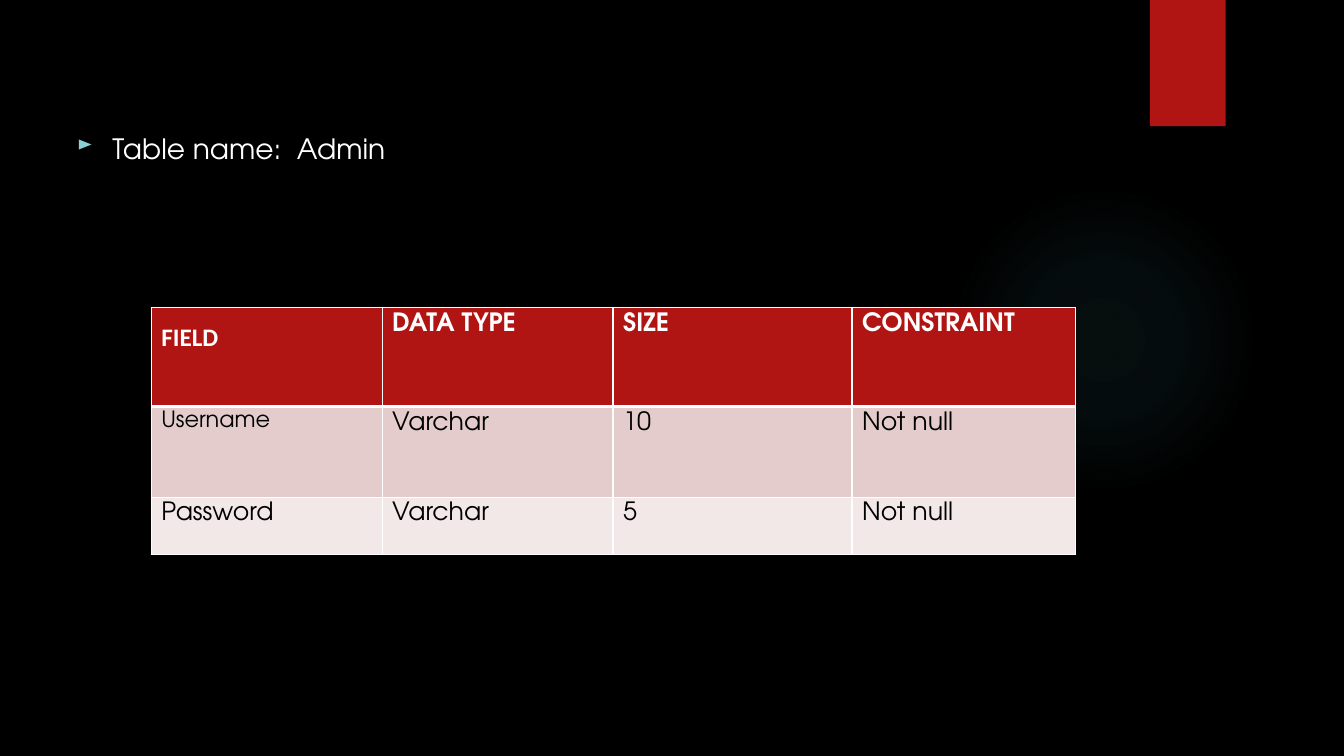
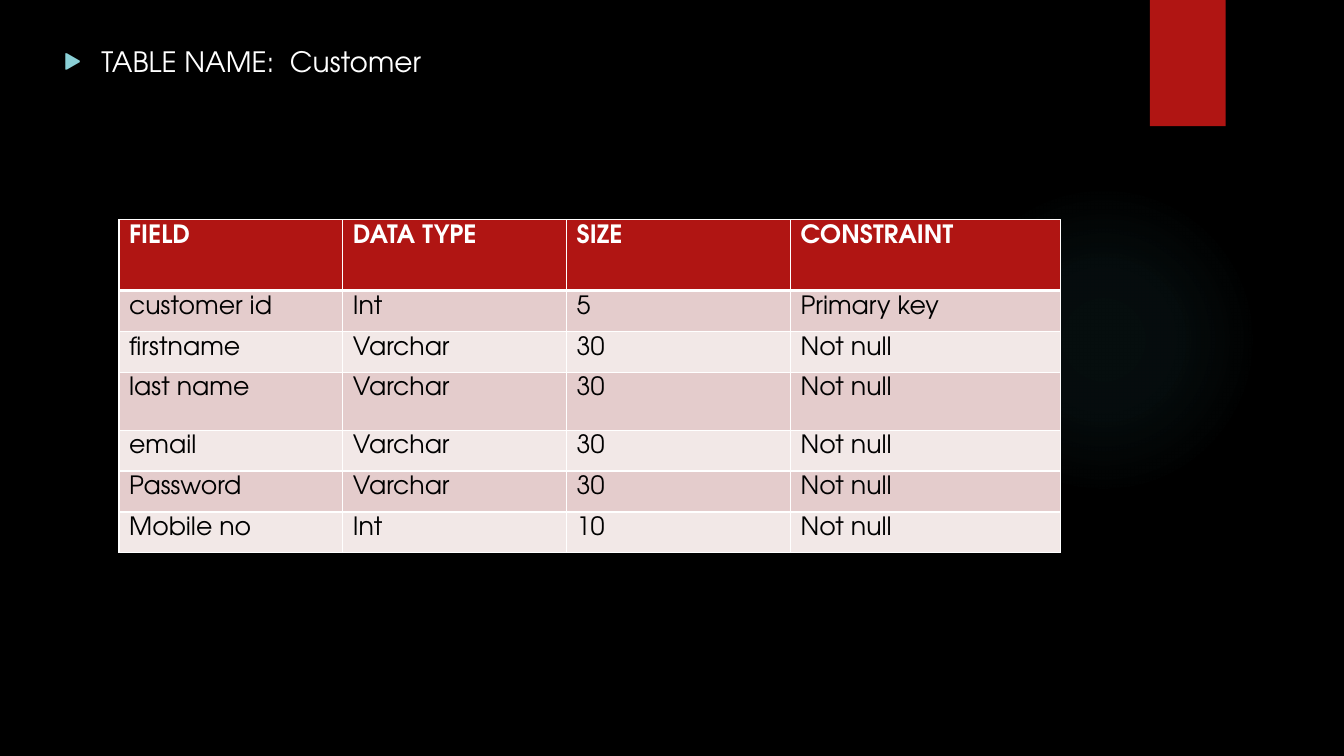
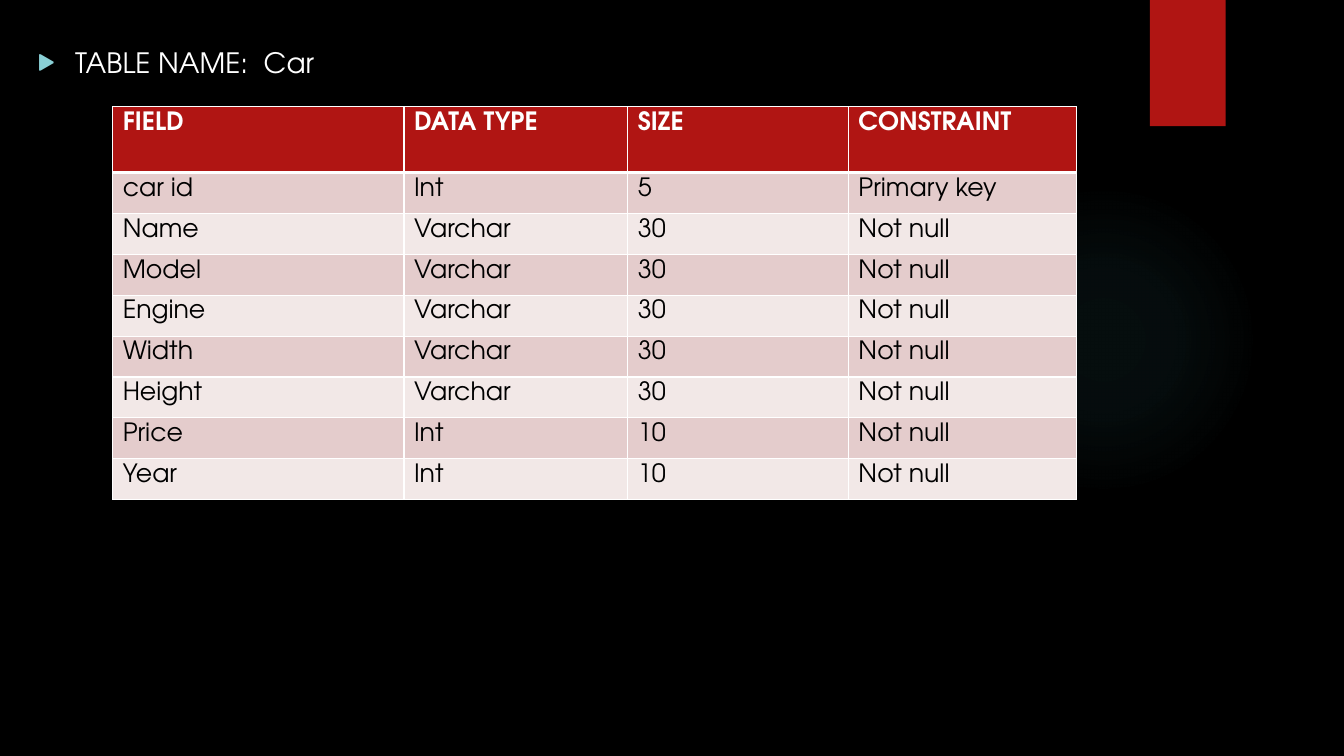
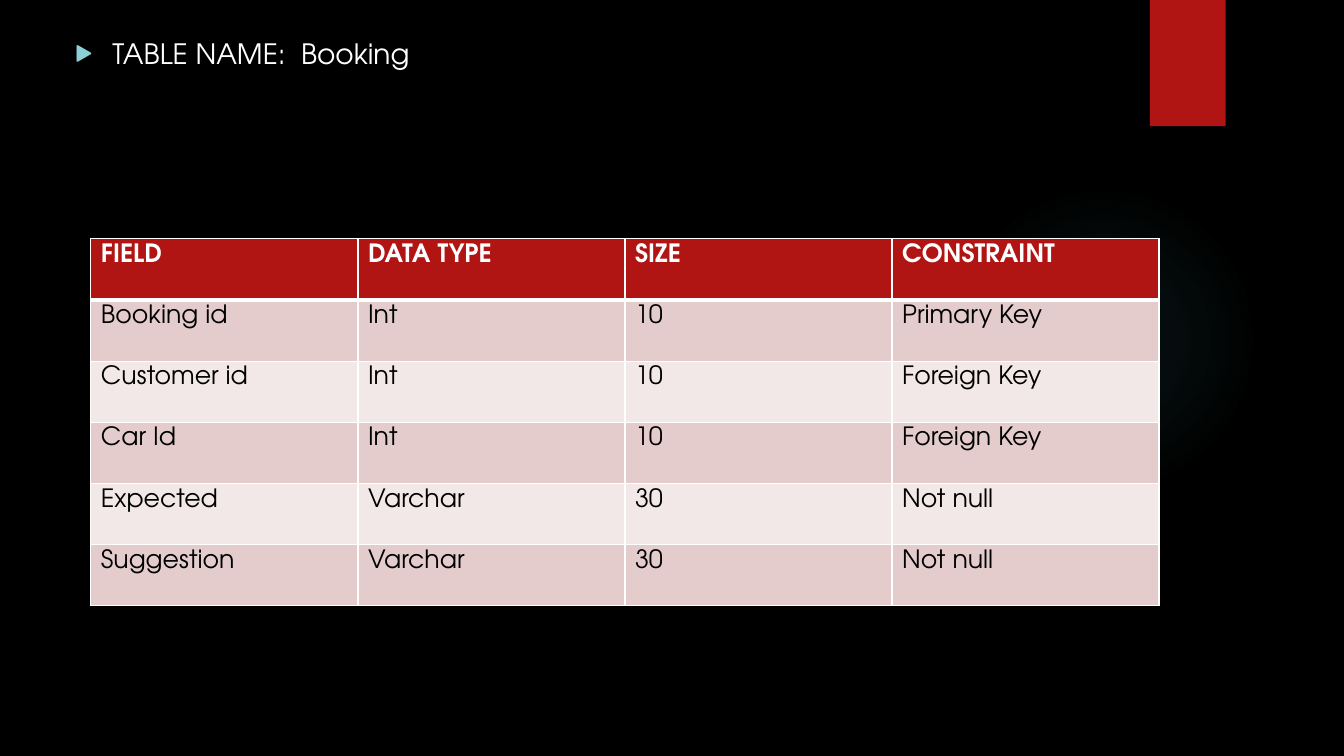
"""Build four slides that describe the tables of a car booking database."""
from dataclasses import dataclass

from pptx import Presentation
from pptx.dml.color import RGBColor
from pptx.enum.shapes import MSO_SHAPE
from pptx.enum.text import MSO_ANCHOR, MSO_AUTO_SIZE
from pptx.oxml import parse_xml
from pptx.oxml.ns import nsdecls
from pptx.util import Cm, Pt


@dataclass(frozen=True)
class Theme:
    """Colours, fonts and type sizes shared by the slides."""
    background: str = "000000"
    accent: str = "B01513"
    glow: str = "50B9C1"
    bullet: str = "8AD0D6"
    light: str = "FFFFFF"
    dark: str = "000000"
    bands: tuple = ("F2E8E7", "E4CCCC")
    font: str = "TeX Gyre Adventor"
    plain_font: str = "Calibri"
    heading_size: int = 20
    cell_size: int = 18
    small_size: int = 16
    thin: int = 1
    thick: int = 3


@dataclass(frozen=True)
class Box:
    """A region in centimetres."""
    left: float
    top: float
    width: float
    height: float

    def lengths(self):
        """Return left, top, width and height as lengths."""
        return [Cm(value) for value in (self.left, self.top, self.width, self.height)]


THEME = Theme()
HEADER = ("FIELD", "DATA TYPE", "SIZE", "CONSTRAINT")


def style_font(font, size, colour, bold=False):
    """Give a font the theme typeface with a size and colour."""
    font.name = THEME.font
    font.size = Pt(size)
    font.bold = bold
    font.color.rgb = RGBColor.from_string(colour)


def move_to_master(shape, master, position):
    """Move a shape behind the placeholders of the master."""
    tree = master.shapes._spTree
    shape._element.nvSpPr.cNvPr.set("id", str(100 + position))
    tree.insert(2 + position, shape._element)


def add_glow(slide, box):
    """Add a round glow that fades towards its edge."""
    glow = slide.shapes.add_shape(MSO_SHAPE.OVAL, *box.lengths())
    glow.shadow.inherit = False
    glow.line.fill.background()
    stops = "".join(
        f'<a:gs pos="{place * 1000}"><a:srgbClr val="{THEME.glow}">'
        f'<a:alpha val="{alpha * 1000}"/></a:srgbClr></a:gs>'
        for place, alpha in ((0, 7), (36, 6), (69, 0)))
    glow._element.spPr.prstGeom.addnext(parse_xml(
        f'<a:gradFill {nsdecls("a")}><a:gsLst>{stops}</a:gsLst><a:path path="circle">'
        '<a:fillToRect l="50000" t="50000" r="50000" b="50000"/></a:path></a:gradFill>'))
    return glow


def add_ribbon(slide, box):
    """Add the coloured ribbon that hangs from the top edge."""
    ribbon = slide.shapes.add_shape(MSO_SHAPE.RECTANGLE, *box.lengths())
    ribbon.shadow.inherit = False
    ribbon.line.fill.background()
    ribbon.fill.solid()
    ribbon.fill.fore_color.rgb = RGBColor.from_string(THEME.accent)
    return ribbon


def decorate_master(master, slide):
    """Set the shared background, glow and ribbon."""
    master.background.fill.solid()
    master.background.fill.fore_color.rgb = RGBColor.from_string(THEME.background)
    decorations = (add_glow(slide, Box(23.9, 4.65, 7.82, 7.82)),
                   add_ribbon(slide, Box(28.98, 0, 1.91, 3.18)))
    for position, shape in enumerate(decorations):
        move_to_master(shape, master, position)


def fill_heading(slide, box, text, bullet="▶", bullet_percent=80):
    """Place the bulleted table name in the body placeholder."""
    body = slide.placeholders[1]
    body.left, body.top, body.width, body.height = box.lengths()
    frame = body.text_frame
    frame.auto_size = MSO_AUTO_SIZE.NONE
    frame.vertical_anchor = MSO_ANCHOR.TOP
    frame.text = text
    paragraph = frame.paragraphs[0]
    paragraph.space_before = Pt(0)
    properties = paragraph._p.get_or_add_pPr()
    properties.set("marL", str(Cm(0.95)))
    properties.set("indent", str(-Cm(0.95)))
    for element in (f'buClr {nsdecls("a")}><a:srgbClr val="{THEME.bullet}"/></a:buClr>',
                    f'buSzPct {nsdecls("a")} val="{bullet_percent * 1000}"/>',
                    f'buFont {nsdecls("a")} typeface="{THEME.font}"/>',
                    f'buChar {nsdecls("a")} char="{bullet}"/>'):
        properties.append(parse_xml(f"<a:{element}"))
    style_font(paragraph.font, THEME.heading_size, THEME.light)


def add_borders(cell, row):
    """Draw thin cell borders with a thick rule below the header."""
    widths = {"lnL": THEME.thin, "lnR": THEME.thin,
              "lnT": THEME.thick if row == 1 else THEME.thin,
              "lnB": THEME.thick if row == 0 else THEME.thin}
    properties = cell._tc.get_or_add_tcPr()
    for edge, width in widths.items():
        properties.append(parse_xml(
            f'<a:{edge} {nsdecls("a")} w="{Pt(width)}"><a:solidFill>'
            f'<a:srgbClr val="{THEME.light}"/></a:solidFill></a:{edge}>'))


def format_cell(cell, row, text):
    """Write and colour one cell according to its row."""
    is_header = row == 0
    add_borders(cell, row)
    cell.fill.solid()
    cell.fill.fore_color.rgb = RGBColor.from_string(
        THEME.accent if is_header else THEME.bands[row % 2])
    cell.text = text
    style_font(cell.text_frame.paragraphs[0].font, THEME.cell_size,
               THEME.light if is_header else THEME.dark, is_header)


def add_field_table(slide, left, top, widths, heights, fields):
    """Add a table of fields under the shared header and return it."""
    rows = (HEADER, *fields)
    box = Box(left, top, sum(widths), sum(heights))
    table = slide.shapes.add_table(len(rows), len(HEADER), *box.lengths()).table
    table.horz_banding = False
    for column, width in zip(table.columns, widths):
        column.width = Cm(width)
    for index, (row, height) in enumerate(zip(table.rows, heights)):
        row.height = Cm(height)
        for cell, text in zip(row.cells, rows[index]):
            format_cell(cell, index, text)
    return table


def add_blank_slide(presentation):
    """Add a slide that keeps only its body placeholder."""
    slide = presentation.slides.add_slide(presentation.slide_layouts[1])
    title = slide.shapes.title._element
    title.getparent().remove(title)
    return slide


def build_admin(slide):
    """Fill the slide of the admin table."""
    fill_heading(slide, Box(1.63, 3.18, 30.63, 13.08), "Table name:  Admin", "►", 100)
    table = add_field_table(
        slide, 3.81, 7.75, (5.82, 5.82, 6.02, 5.64), (2.49, 2.29, 1.45),
        (("Username", "Varchar", "10", "Not null"),
         ("Password", "Varchar", "5", "Not null")))
    field = table.cell(0, 0)
    field.margin_top = Cm(0.38)
    field.text_frame.paragraphs[0].font.name = THEME.plain_font
    table.cell(1, 0).text_frame.paragraphs[0].font.size = Pt(THEME.small_size)


def build_customer(slide):
    """Fill the slide of the customer table."""
    fill_heading(slide, Box(1.35, 0.99, 30.63, 17.81), "TABLE NAME:  Customer")
    add_field_table(
        slide, 3, 5.54, (5.64, 5.64, 5.64, 6.81),
        (1.78, 1.03, 1.03, 1.46, 1.03, 1.03, 1.03),
        (("customer id", "Int", "5", "Primary key"),
         *((name, "Varchar", "30", "Not null")
           for name in ("firstname", "last name", "email", "Password")),
         ("Mobile no", "Int", "10", "Not null")))


def build_car(slide):
    """Fill the slide of the car table."""
    fill_heading(slide, Box(0.69, 1.02, 30.63, 17.68), "TABLE NAME:  Car")
    add_field_table(
        slide, 2.84, 2.69, (7.34, 5.64, 5.56, 5.74), (1.66, *[1.03] * 8),
        (("car id", "Int", "5", "Primary key"),
         *((name, "Varchar", "30", "Not null")
           for name in ("Name", "Model", "Engine", "Width", "Height")),
         *((name, "Int", "10", "Not null") for name in ("Price", "Year"))))


def build_booking(slide):
    """Fill the slide of the booking table."""
    fill_heading(slide, Box(1.63, 0.79, 30.63, 18.26), "TABLE NAME:  Booking")
    add_field_table(
        slide, 2.29, 6.02, [6.73] * 4, [1.54] * 6,
        (("Booking id", "Int", "10", "Primary Key"),
         *((name, "Int", "10", "Foreign Key") for name in ("Customer id", "Car Id")),
         *((name, "Varchar", "30", "Not null") for name in ("Expected", "Suggestion"))))


def main():
    """Build and save the presentation."""
    presentation = Presentation()
    presentation.slide_width = Cm(33.87)
    presentation.slide_height = Cm(19.05)
    builders = (build_admin, build_customer, build_car, build_booking)
    slides = [add_blank_slide(presentation) for _ in builders]
    decorate_master(presentation.slide_master, slides[0])
    for build, slide in zip(builders, slides):
        build(slide)
    presentation.save("out.pptx")


if __name__ == "__main__":
    main()
